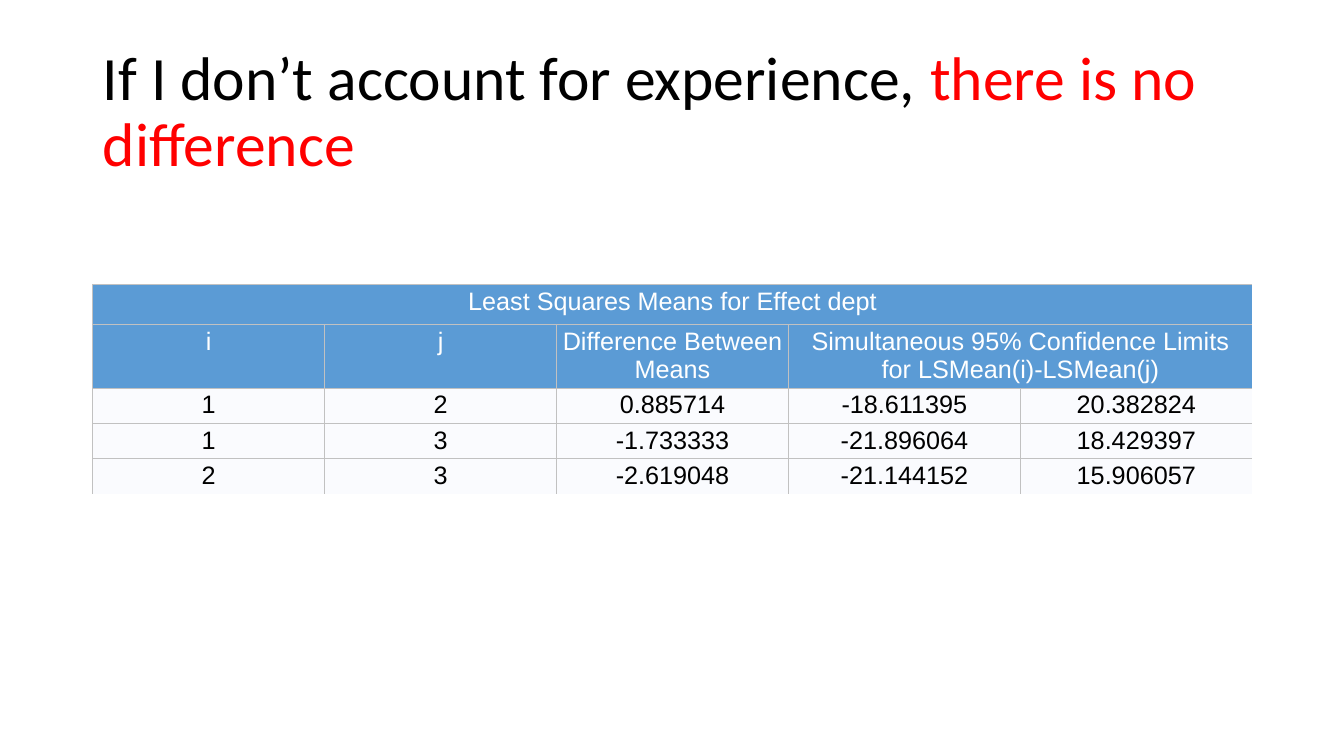
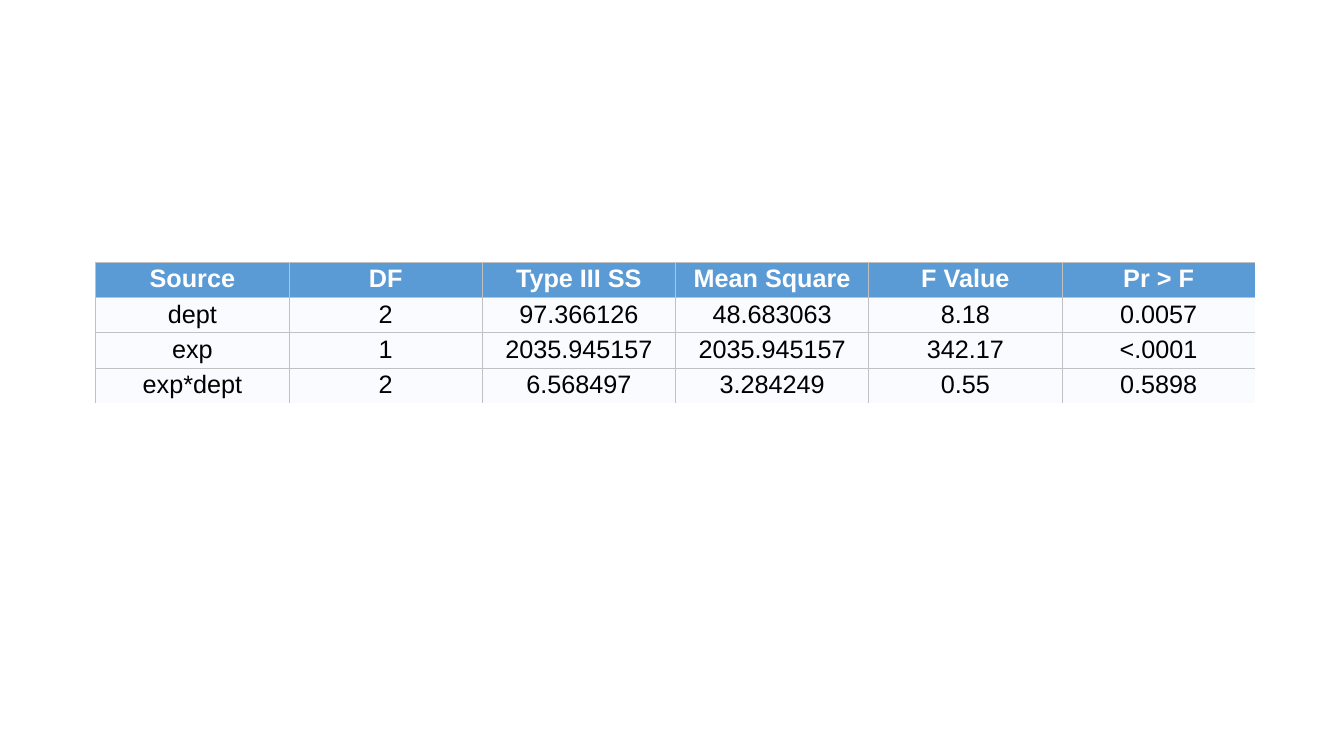
"""Build two slides that show regression results as tables."""
from lxml.etree import SubElement
from pptx import Presentation
from pptx.dml.color import RGBColor
from pptx.enum.text import MSO_ANCHOR, PP_ALIGN
from pptx.oxml.ns import qn
from pptx.util import Inches, Pt

BLACK = RGBColor(0x00, 0x00, 0x00)
WHITE = RGBColor(0xFF, 0xFF, 0xFF)
RED = RGBColor(0xFF, 0x00, 0x00)
BLUE = RGBColor(0x5B, 0x9B, 0xD5)
PALE = RGBColor(0xFA, 0xFB, 0xFE)
GRID = RGBColor(0xC1, 0xC1, 0xC1)

WIDTH, HEIGHT = 13.33, 7.5
TABLE_W, ROW_H = 11.5, 0.35
TITLE_ONLY, BLANK = 5, 6

TITLE = [("If I don’t account for experience, ", BLACK),
         ("there is no difference", RED)]
MEANS = [
    ("Least Squares Means for Effect dept", None, None, None, None),
    ("i", "j", "Difference Between\nMeans",
     "Simultaneous 95% Confidence Limits\nfor LSMean(i)-LSMean(j)", None),
    ("1", "2", "0.885714", "-18.611395", "20.382824"),
    ("1", "3", "-1.733333", "-21.896064", "18.429397"),
    ("2", "3", "-2.619048", "-21.144152", "15.906057"),
]
EFFECTS = [
    ("Source", "DF", "Type III SS", "Mean Square", "F Value", "Pr\u00a0>\u00a0F"),
    ("dept", "2", "97.366126", "48.683063", "8.18", "0.0057"),
    ("exp", "1", "2035.945157", "2035.945157", "342.17", "<.0001"),
    ("exp*dept", "2", "6.568497", "3.284249", "0.55", "0.5898"),
]


def add_run(p, text, font, size, color, bold=False):
    r = p.add_run()
    r.text = text
    r.font.name, r.font.size, r.font.bold = font, Pt(size), bold
    r.font.color.rgb = color


def set_borders(cell, open_sides):
    tc_pr = cell._tc.get_or_add_tcPr()
    for side in "LRTB":
        ln = SubElement(tc_pr, qn(f"a:ln{side}"), w=str(Pt(0.5)))
        if side in open_sides:
            SubElement(ln, qn("a:noFill"))
        else:
            fill = SubElement(ln, qn("a:solidFill"))
            SubElement(fill, qn("a:srgbClr"), val=str(GRID))


def fill_cell(cell, text, header, bold):
    cell.margin_left = cell.margin_right = Inches(0.03)
    cell.margin_top = cell.margin_bottom = Inches(0.03)
    cell.fill.solid()
    cell.fill.fore_color.rgb = BLUE if header else PALE
    p = cell.text_frame.paragraphs[0]
    p.alignment = PP_ALIGN.CENTER
    for i, line in enumerate((text or "").split("\n")):
        if i:
            p.add_line_break()
        if line:
            add_run(p, line, "Arial", 18, WHITE if header else BLACK, bold)


def add_grid(s, rows, left, top, headers, heights=(), bold=False):
    n_rows, n_cols = len(rows), len(rows[0])
    heights = list(heights) + [ROW_H] * (n_rows - len(heights))
    table = s.shapes.add_table(n_rows, n_cols, Inches(left), Inches(top),
                               Inches(TABLE_W), Inches(sum(heights))).table
    table.first_row = table.horz_banding = False
    for col in table.columns:
        col.width = Inches(TABLE_W / n_cols)
    for y, row in enumerate(rows):
        table.rows[y].height = Inches(heights[y])
        for x, text in enumerate(row):
            cell = table.cell(y, x)
            end = x
            while end + 1 < n_cols and row[end + 1] is None:
                end += 1
            open_sides = ("R" if end == n_cols - 1 else "") + ("B" if y == n_rows - 1 else "")
            set_borders(cell, open_sides)
            fill_cell(cell, text, y < headers, bold and y < headers)
            if text is not None and end > x:
                cell.merge(table.cell(y, end))


def add_title(s, runs):
    sp = s.shapes.title
    sp.left, sp.top = Inches(0.92), Inches(0.4)
    sp.width, sp.height = Inches(TABLE_W), Inches(1.45)
    tf = sp.text_frame
    tf.word_wrap = True
    tf.vertical_anchor = MSO_ANCHOR.MIDDLE
    p = tf.paragraphs[0]
    p.alignment = PP_ALIGN.LEFT
    p.line_spacing = 0.9
    for text, color in runs:
        add_run(p, text, "Calibri", 44, color)


prs = Presentation()
prs.slide_width, prs.slide_height = Inches(WIDTH), Inches(HEIGHT)

s = prs.slides.add_slide(prs.slide_layouts[TITLE_ONLY])
add_title(s, TITLE)
add_grid(s, MEANS, 0.92, 2.82, headers=2, heights=(0.4, 0.63))

s = prs.slides.add_slide(prs.slide_layouts[BLANK])
add_grid(s, EFFECTS, 0.95, 2.6, headers=1, bold=True)

prs.save("out.pptx")
